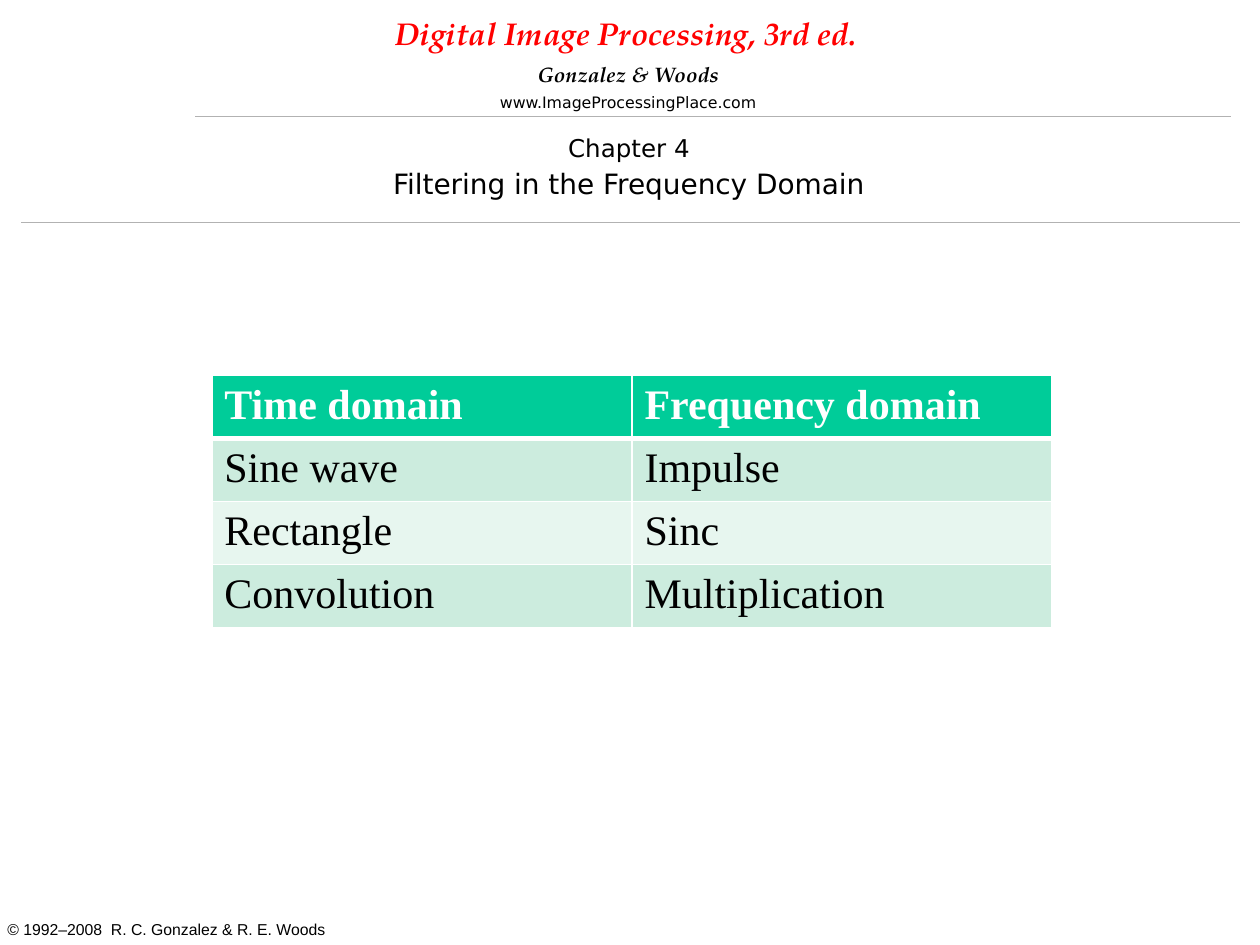
"""Build the slide that pairs time domain signals with their frequency domain forms."""
from lxml import etree
from pptx import Presentation
from pptx.dml.color import RGBColor
from pptx.enum.shapes import MSO_CONNECTOR as Connector
from pptx.enum.text import MSO_ANCHOR as Anchor, MSO_AUTO_SIZE as AutoSize, PP_ALIGN as Align
from pptx.oxml import parse_xml
from pptx.oxml.ns import nsdecls, qn
from pptx.util import Cm, Pt


def paint(fill, colour):
    fill.solid()
    fill.fore_color.rgb = RGBColor.from_string(colour)


def write(para, text, font="DejaVu Sans", size=9, colour="000000", bold=False,
          italic=False, align=Align.LEFT, before=0, shadow=False):
    para.alignment = align
    para.space_before = Pt(before)
    span = para.add_run()
    span.text = text
    span.font.name = font
    span.font.size = Pt(size)
    span.font.bold = bold
    span.font.italic = italic
    paint(span.font.fill, colour)
    if shadow:
        effect = parse_xml(
            f'<a:effectLst {nsdecls("a")}><a:outerShdw dist="35921" dir="2700000">'
            '<a:srgbClr val="C0C0C0"/></a:outerShdw></a:effectLst>')
        span.font._element.find(qn("a:solidFill")).addnext(effect)


deck = Presentation()
deck.slide_width, deck.slide_height = Cm(25.4), Cm(19.05)
page = deck.slides.add_slide(deck.slide_layouts[5])

title = page.shapes.title
title.left, title.top, title.width, title.height = Cm(3.78), Cm(2.55), Cm(17.8), Cm(1.7)
title.text_frame.vertical_anchor = Anchor.TOP
title.text_frame.auto_size = AutoSize.NONE
write(title.text_frame.paragraphs[0], "Chapter 4", size=14, align=Align.CENTER, shadow=True)
write(title.text_frame.add_paragraph(), "Filtering in the Frequency Domain", size=16,
      align=Align.CENTER, before=2.5, shadow=True)

serif = {"font": "TeX Gyre Pagella", "bold": True, "italic": True}
labels = [
    ("Digital Image Processing, 3rd ed.", 7.72, 0.15, 9.83, 1.02, False,
     {**serif, "size": 18, "colour": "FF0000", "shadow": True}),
    ("Gonzalez & Woods", 10.59, 1.12, 4.62, 0.76, True, {**serif, "size": 12}),
    ("www.ImageProcessingPlace.com", 9.7, 1.75, 5.92, 0.64, True, {"align": Align.CENTER}),
    ("© 1992–2008  R. C. Gonzalez & R. E. Woods", -0.1, 18.41, 7.14, 0.62, False,
     {"font": "Arial"}),
]
for text, left, top, width, height, wrap, style in labels:
    box = page.shapes.add_textbox(Cm(left), Cm(top), Cm(width), Cm(height))
    box.text_frame.word_wrap = wrap
    write(box.text_frame.paragraphs[0], text, **style)

for left, right, top in [(3.94, 24.82, 2.34), (0.43, 24.99, 4.47)]:
    rule = page.shapes.add_connector(Connector.STRAIGHT, Cm(left), Cm(top), Cm(right), Cm(top))
    paint(rule.line.fill, "B2B2B2")
    rule.line.width = Pt(0.25)
    etree.SubElement(rule._element.spPr, qn("a:effectLst"))

pairs = [
    ("Time domain", "Frequency domain"),
    ("Sine wave", "Impulse"),
    ("Rectangle", "Sinc"),
    ("Convolution", "Multiplication"),
]
table = page.shapes.add_table(len(pairs), 2, Cm(4.27), Cm(7.57), Cm(16.94), Cm(5.08)).table
for row, pair in enumerate(pairs):
    header = row == 0
    band = "00CC99" if header else ("E7F6EF", "CCECDE")[row % 2]
    for column, text in enumerate(pair):
        cell = table.cell(row, column)
        write(cell.text_frame.paragraphs[0], text, font="Times New Roman", size=24,
              colour="FFFFFF" if header else "000000", bold=header)
        properties = cell._tc.get_or_add_tcPr()
        for side in ("lnL", "lnR", "lnT", "lnB"):
            heavy = (row, side) in [(0, "lnB"), (1, "lnT")]
            properties.append(parse_xml(
                f'<a:{side} {nsdecls("a")} w="{Pt(3 if heavy else 1)}"><a:solidFill>'
                f'<a:srgbClr val="FFFFFF"/></a:solidFill></a:{side}>'))
        paint(cell.fill, band)

deck.save("out.pptx")
